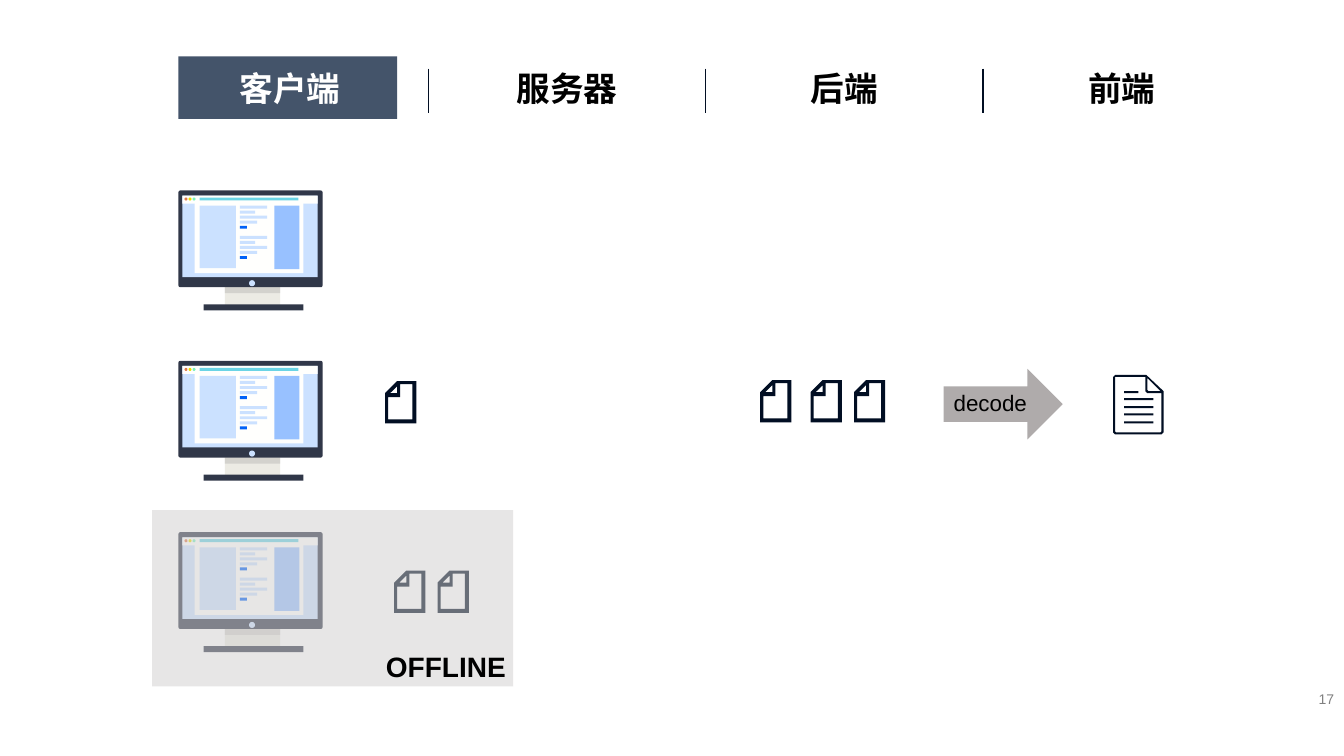
import lxml.etree
import pptx
import pptx.dml.color
import pptx.enum.shapes
import pptx.enum.text
import pptx.oxml.ns
import pptx.util

Inches = pptx.util.Inches
RGBColor = pptx.dml.color.RGBColor
KIND = pptx.enum.shapes.MSO_SHAPE
ALIGN = pptx.enum.text.PP_ALIGN
qn = pptx.oxml.ns.qn

BLACK = RGBColor(0x00, 0x00, 0x00)
WHITE = RGBColor(0xFF, 0xFF, 0xFF)
SLATE = RGBColor(0x44, 0x54, 0x6A)
INK = RGBColor(0x01, 0x0E, 0x23)
GRAY = RGBColor(0x80, 0x80, 0x80)
SILVER = RGBColor(0xAF, 0xAB, 0xAB)
VEIL = RGBColor(0xD0, 0xCE, 0xCE)
FRAME = RGBColor(0x30, 0x37, 0x48)
STAND = RGBColor(0xEC, 0xEB, 0xE4)
SHADE = RGBColor(0xD3, 0xD2, 0xCD)
PALE = RGBColor(0xCB, 0xE1, 0xFF)
PAPER = RGBColor(0xFF, 0xFF, 0xFD)
SKY = RGBColor(0x98, 0xC1, 0xFF)
BLUE = RGBColor(0x00, 0x61, 0xF7)
TEAL = RGBColor(0x6B, 0xD4, 0xE5)
ORANGE = RGBColor(0xDF, 0x7A, 0x4C)
YELLOW = RGBColor(0xED, 0xDE, 0x00)
GREEN = RGBColor(0x7B, 0xF1, 0xBF)

HEADS = ["客户端", "服务器", "后端", "前端"]
LAMPS = [ORANGE, YELLOW, GREEN]
# Offset down and width of each text line on a monitor's screen
LINES = [(0, 0.27, PALE), (0.05, 0.15, PALE), (0.1, 0.27, PALE),
         (0.15, 0.17, PALE), (0.2, 0.07, BLUE)]

# Outlines of the file icon, in hundredths of an inch
FILE = [
    [(0, 12), (12, 0), (31, 0), (31, 42), (0, 42)],
    [(5, 12), (12, 12), (12, 5)],
    [(3, 16), (3, 38), (27, 38), (27, 3), (15, 3), (15, 16)],
]
# Outlines of the decoded page: edge, inside, fold and text bars
PAGE = [
    [(2, 0), (33, 0), (50, 16), (50, 57), (48, 59), (2, 59), (0, 57), (0, 2)],
    [(2, 2), (32, 2), (32, 16), (34, 18), (48, 18), (48, 56), (47, 57),
     (3, 57), (2, 56)],
    [(34, 3), (34, 15), (35, 16), (47, 16)],
] + [
    [(11, y), (end, y), (end, y + 2), (11, y + 2)]
    for y, end in [(16, 25), (23, 40), (31, 40), (38, 40), (46, 40)]
]


def paint(shape, color):
    shape.shadow.inherit = False
    shape.fill.solid()
    shape.fill.fore_color.rgb = color
    shape.line.fill.background()
    return shape


def block(shapes, kind, box, color):
    return paint(shapes.add_shape(kind, *map(Inches, box)), color)


def label(slide, words, box, color=BLACK, align=ALIGN.LEFT, **style):
    frame = slide.shapes.add_textbox(*map(Inches, box)).text_frame
    frame.word_wrap = True
    para = frame.paragraphs[0]
    para.alignment = align
    run = para.add_run()
    run.text = words
    for key, value in {"name": "Arial", **style}.items():
        setattr(run.font, key, value)
    run.font.color.rgb = color
    return frame


def icon(slide, paths, left, top):
    """Fill outlines given in hundredths of an inch; inner ones cut holes."""
    pen = slide.shapes.build_freeform(*paths[0][0], scale=Inches(0.01))
    for path in paths:
        pen.move_to(*path[0])
        pen.add_line_segments(path[1:], close=True)
    paint(pen.convert_to_shape(Inches(left), Inches(top)), INK)


def header(slide, left, top, width):
    block(slide.shapes, KIND.RECTANGLE,
          (left + 0.27, top - 0.06, 2.17, 0.62), SLATE)
    for col, words in enumerate(HEADS):
        x = left + col * width
        label(slide, words, (x, top, width, 0.5), BLACK if col else WHITE,
              ALIGN.CENTER, size=pptx.util.Pt(24), bold=True)
        if col:
            rule = slide.shapes.add_connector(
                pptx.enum.shapes.MSO_CONNECTOR.STRAIGHT,
                *map(Inches, (x, top + 0.06, x, top + 0.5)))
            rule.line.color.rgb = INK
            rule.line.width = pptx.util.Pt(1)
            lxml.etree.SubElement(rule.element.spPr, qn("a:effectLst"))


def monitor(slide, left, top):
    shapes = slide.shapes.add_group_shape().shapes

    def part(x, y, wide, high, color, kind=KIND.RECTANGLE):
        return block(shapes, kind, (left + x, top + y, wide, high), color)

    part(0.46, 0.85, 0.55, 0.29, STAND)
    part(0.46, 0.96, 0.55, 0.06, SHADE)
    part(0.25, 1.13, 0.99, 0.06, FRAME)
    case = part(0, 0, 1.43, 0.96, FRAME, KIND.ROUNDED_RECTANGLE)
    case.adjustments[0] = 0.02
    part(0.04, 0.05, 1.34, 0.81, PALE)
    part(0.04, 0.05, 1.34, 0.08, PAPER)
    part(0.16, 0.12, 1.08, 0.7, PAPER)
    part(0.21, 0.15, 0.36, 0.62, PALE)
    for start in (0.15, 0.45):
        for drop, wide, color in LINES:
            part(0.61, start + drop, wide, 0.03, color)
    part(0.95, 0.15, 0.25, 0.63, SKY)
    part(0.21, 0.07, 0.98, 0.03, TEAL)
    part(0.7, 0.89, 0.06, 0.06, PALE, KIND.OVAL)
    for spot, color in enumerate(LAMPS):
        part(0.06 + spot * 0.04, 0.07, 0.03, 0.03, color, KIND.OVAL)


def veil(slide, left, top, width, height):
    """Dim the offline client with a half-clear sheet."""
    sheet = block(slide.shapes, KIND.RECTANGLE,
                  (left, top, width, height), VEIL)
    tint = sheet.element.spPr.find(qn("a:solidFill"))[0]
    lxml.etree.SubElement(tint, qn("a:alpha")).set("val", "50000")
    label(slide, "OFFLINE", (left + 2.22, top + 1.33, 2.64, 0.44),
          size=pptx.util.Pt(20), bold=True)


def decode(slide, left, top):
    block(slide.shapes, KIND.RIGHT_ARROW, (left, top, 1.18, 0.7), SILVER)
    label(slide, "decode", (left, top + 0.15, 1.43, 0.37),
          size=pptx.util.Pt(16))
    icon(slide, PAGE, left + 1.68, top + 0.06)


def main():
    deck = pptx.Presentation()
    deck.slide_width = Inches(13.33)
    deck.slide_height = Inches(7.5)
    slide = deck.slides.add_slide(deck.slide_layouts[6])
    header(slide, 1.5, 0.62, 2.75)
    for top in (1.89, 3.58, 5.28):
        monitor(slide, 1.77, top)
    for left, top in [(3.82, 3.78), (7.54, 3.77), (8.04, 3.77),
                      (8.47, 3.77), (3.91, 5.66), (4.34, 5.66)]:
        icon(slide, FILE, left, top)
    veil(slide, 1.51, 5.06, 3.58, 1.75)
    decode(slide, 9.36, 3.66)
    number = label(slide, "17", (10.15, 6.82, 3.18, 0.23), GRAY,
                   ALIGN.RIGHT, size=pptx.util.Pt(10))
    number.vertical_anchor = pptx.enum.text.MSO_ANCHOR.MIDDLE
    deck.save("out.pptx")


if __name__ == "__main__":
    main()
